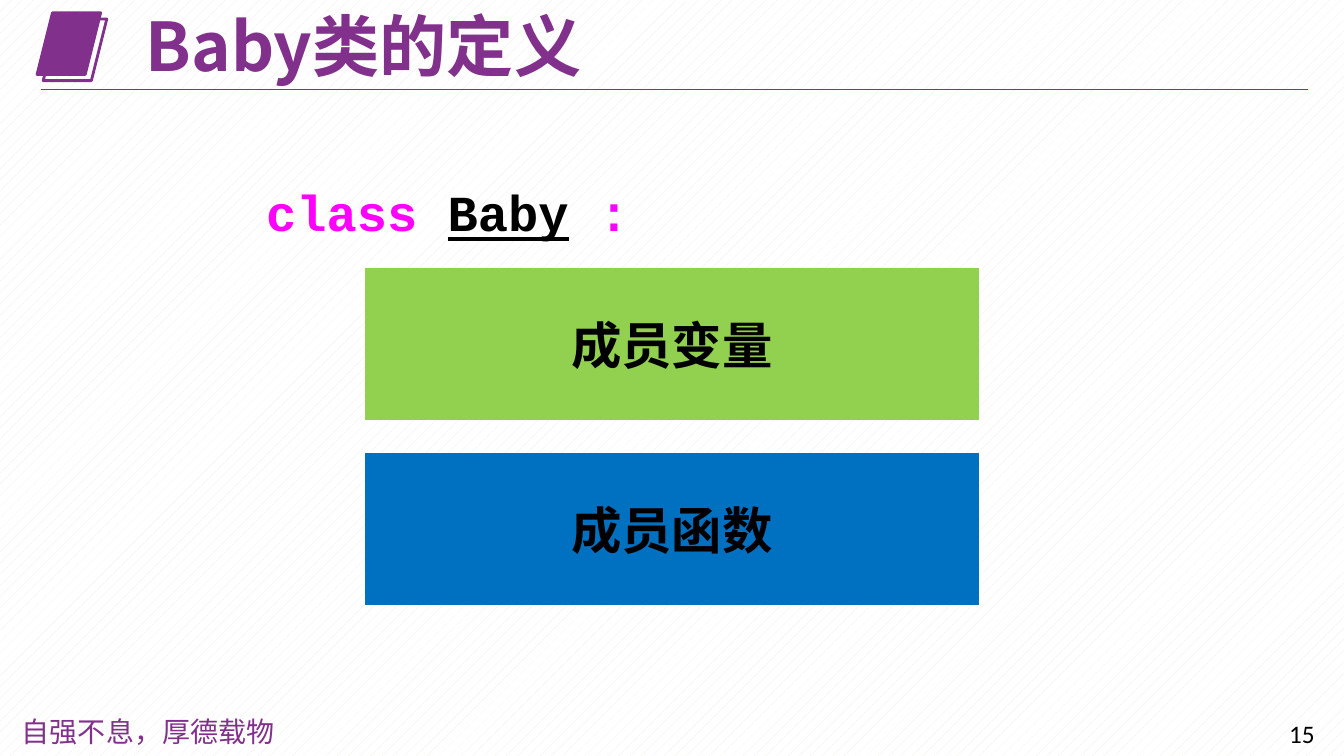
from lxml import etree
from pptx import Presentation
from pptx.dml.color import RGBColor
from pptx.enum import dml, shapes, text
from pptx.oxml import ns
from pptx.util import Pt

THEME = {
    "purple": "81308C", "black": "000000", "magenta": "FF00FF",
    "green": "92D050", "blue": "0070C0",
    "paper": "FFFFFF", "hatch": "EEECE1",
    "heading": "Noto Sans CJK SC", "motto": "Noto Sans CJK JP",
    "code": "Courier New", "number": "Calibri",
    "title_size": 48, "body_size": 36, "motto_size": 20, "number_size": 18,
}
SLIDE_W, SLIDE_H = 960, 540

TITLE = "Baby类的定义"
MOTTO = "自强不息，厚德载物"
PAGE_NUMBER = "15"
CLASS_LINE = [("class ", "magenta", False), ("Baby", "black", True),
              (" ", "black", False), (":", "magenta", False)]
MEMBERS = [("成员变量", "green"), ("成员函数", "blue")]

MEMBER_W, MEMBER_H, MEMBER_GAP, MEMBER_TOP = 438, 108, 24, 192
BOOK_LEFT, BOOK_TOP, BOOK_W, BOOK_H, BOOK_SHIFT = 26.5, 9.2, 45.4, 44, 4.4


def color(name):
    return RGBColor.from_string(THEME[name])


def style(run, font, size, ink, bold=False, underline=False):
    run.font.name = THEME[font]
    run.font.size = Pt(THEME[size])
    run.font.bold = bold
    run.font.underline = underline
    run.font.color.rgb = color(ink)
    east_asian = etree.SubElement(run.font._element, ns.qn("a:ea"))
    east_asian.set("typeface", THEME[font])


def add_label(slide, box, pieces, font, size, bold=False, wrap=True):
    """Add a text box whose one line is made of (words, colour, underline) pieces."""
    label = slide.shapes.add_textbox(*map(Pt, box))
    frame = label.text_frame
    frame.word_wrap = wrap
    for words, ink, underline in pieces:
        run = frame.paragraphs[0].add_run()
        run.text = words
        style(run, font, size, ink, bold, underline)
    return frame


def add_block(slide, kind, box, fill, line, weight):
    block = slide.shapes.add_shape(kind, *map(Pt, box))
    block.shadow.inherit = False
    if fill:
        block.fill.solid()
        block.fill.fore_color.rgb = color(fill)
    else:
        block.fill.background()
    block.line.color.rgb = color(line)
    block.line.width = Pt(weight)
    return block


def add_background(slide):
    fill = slide.background.fill
    fill.patterned()
    fill.pattern = dml.MSO_PATTERN.PERCENT_10
    fill.fore_color.rgb = color("hatch")
    fill.back_color.rgb = color("paper")


def add_header(slide):
    for step, fill in enumerate(["purple", None]):
        shift = step * BOOK_SHIFT
        add_block(slide, shapes.MSO_SHAPE.PARALLELOGRAM,
                  (BOOK_LEFT + shift, BOOK_TOP + shift, BOOK_W, BOOK_H),
                  fill, "purple", 2)
    rule = slide.shapes.add_connector(shapes.MSO_CONNECTOR.STRAIGHT,
                                      Pt(29), Pt(64), Pt(934), Pt(64))
    rule.line.color.rgb = color("purple")
    rule.line.width = Pt(0.75)
    etree.SubElement(rule._element.spPr, ns.qn("a:effectLst"))
    title = add_label(slide, (97, 8, 505.5, 55), [(TITLE, "purple", False)],
                      "heading", "title_size", bold=True)
    title.vertical_anchor = text.MSO_ANCHOR.MIDDLE
    title.paragraphs[0].line_spacing = 0.9


def add_members(slide):
    left = (SLIDE_W - MEMBER_W) / 2
    for row, (words, fill) in enumerate(MEMBERS):
        top = MEMBER_TOP + row * (MEMBER_H + MEMBER_GAP)
        member = add_block(slide, shapes.MSO_SHAPE.RECTANGLE,
                           (left, top, MEMBER_W, MEMBER_H), fill, fill, 0.75)
        frame = member.text_frame
        frame.text = words
        frame.vertical_anchor = text.MSO_ANCHOR.MIDDLE
        frame.paragraphs[0].alignment = text.PP_ALIGN.CENTER
        style(frame.paragraphs[0].runs[0], "heading", "body_size", "black", bold=True)


def main():
    deck = Presentation()
    deck.slide_width, deck.slide_height = Pt(SLIDE_W), Pt(SLIDE_H)
    slide = deck.slides.add_slide(deck.slide_layouts[6])
    add_background(slide)
    add_label(slide, (8.6, 507, 200, 31.5), [(MOTTO, "purple", False)],
              "motto", "motto_size")
    add_label(slide, (913.7, 509.8, 44, 29), [(PAGE_NUMBER, "black", False)],
              "number", "number_size")
    add_header(slide)
    class_line = add_label(slide, (183, 120, 276.5, 312.5), CLASS_LINE,
                           "code", "body_size", bold=True, wrap=False)
    class_line.margin_top = Pt(9.4)
    add_members(slide)
    deck.save("out.pptx")


if __name__ == "__main__":
    main()
